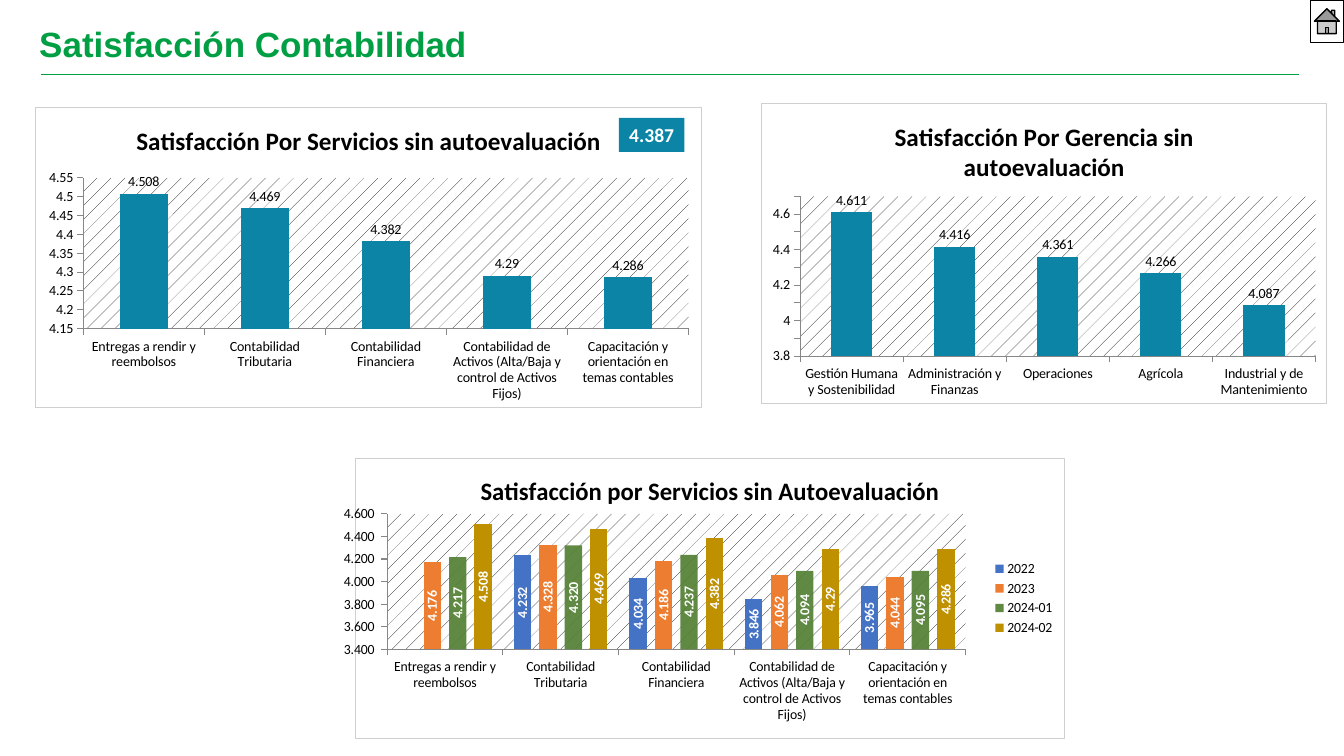
from lxml.etree import SubElement
from pptx import Presentation
from pptx.chart.data import CategoryChartData
from pptx.dml.color import RGBColor
from pptx.enum.chart import XL_CHART_TYPE as CT, XL_LABEL_POSITION as LP
from pptx.enum.chart import XL_LEGEND_POSITION as LEG, XL_TICK_MARK as TICK
from pptx.enum.shapes import MSO_CONNECTOR, MSO_SHAPE
from pptx.enum.text import MSO_ANCHOR, MSO_AUTO_SIZE, PP_ALIGN
from pptx.oxml import parse_xml
from pptx.oxml.ns import nsdecls, qn
from pptx.util import Cm, Pt

GREEN, TEAL, BLACK, WHITE, GREY = "009F43", "0B84A5", "000000", "FFFFFF", "878787"
ACCOUNTING = '_-* #,##0.000_-;\\-* #,##0.000_-;_-* "-"?'
SERVICES = [
    "Entregas a rendir y reembolsos",
    "Contabilidad Tributaria",
    "Contabilidad Financiera",
    "Contabilidad de Activos (Alta/Baja y control de Activos Fijos)",
    "Capacitación y orientación en temas contables",
]
MANAGEMENTS = [
    "Gestión Humana y Sostenibilidad",
    "Administración y Finanzas",
    "Operaciones",
    "Agrícola",
    "Industrial y de Mantenimiento",
]
LATEST = [4.508, 4.469, 4.382, 4.29, 4.286]
BY_MANAGEMENT = [4.611, 4.416, 4.361, 4.266, 4.087]
PERIODS = [
    ("2022", [None, 4.232, 4.034, 3.846, 3.965], "4472C4", ACCOUNTING),
    ("2023", [4.176, 4.328, 4.186, 4.062, 4.044], "ED7D31", "0.000"),
    ("2024-01", [4.217, 4.32, 4.237, 4.094, 4.095], "548235", "0.000"),
    ("2024-02", LATEST, "BF9000", "General"),
]


def rgb(color):
    return RGBColor.from_string(color)


def set_font(font, size, color, bold=False, name="Calibri"):
    font.name, font.size, font.bold = name, Pt(size), bold
    font.color.rgb = rgb(color)


def add_run(p, text, *style):
    r = p.add_run()
    r.text = text
    set_font(r.font, *style)


def add_heading(s, text, *box):
    tf = s.shapes.add_textbox(*map(Cm, box)).text_frame
    tf.word_wrap = True
    tf.vertical_anchor = MSO_ANCHOR.MIDDLE
    p = tf.paragraphs[0]
    p.line_spacing = 0.9
    add_run(p, text, 25, GREEN, True, "Arial")


def add_rule(s, *ends):
    line = s.shapes.add_connector(MSO_CONNECTOR.STRAIGHT, *map(Cm, ends))
    line.line.color.rgb = rgb(GREEN)
    line.line.width = Pt(0.5)
    SubElement(line._element.spPr, qn("a:effectLst"))


def add_filled(s, kind, color, *box):
    sp = s.shapes.add_shape(kind, *map(Cm, box))
    sp.shadow.inherit = False
    sp.fill.solid()
    sp.fill.fore_color.rgb = rgb(color)
    return sp


def add_home_button(s, *box):
    sp = add_filled(s, MSO_SHAPE.ACTION_BUTTON_HOME, WHITE, *box)
    sp.line.color.rgb = rgb(BLACK)
    sp.line.width = Pt(1)


def add_badge(s, text, *box):
    sp = add_filled(s, MSO_SHAPE.RECTANGLE, TEAL, *box)
    sp.line.fill.background()
    tf = sp.text_frame
    tf.word_wrap = False
    tf.auto_size = MSO_AUTO_SIZE.SHAPE_TO_FIT_TEXT
    p = tf.paragraphs[0]
    p.alignment = PP_ALIGN.CENTER
    add_run(p, text, 14, WHITE, True)


def style_areas(chart):
    space = chart._chartSpace
    plot_area = space.find(".//" + qn("c:plotArea"))
    plot_area.append(parse_xml(
        f'<c:spPr {nsdecls("c", "a")}><a:pattFill prst="pct5">'
        f'<a:fgClr><a:srgbClr val="{BLACK}"/></a:fgClr>'
        f'<a:bgClr><a:srgbClr val="{WHITE}"/></a:bgClr></a:pattFill></c:spPr>'))
    space.find(qn("c:chart")).addnext(parse_xml(
        f'<c:spPr {nsdecls("c", "a")}>'
        f'<a:solidFill><a:srgbClr val="{WHITE}"/></a:solidFill>'
        '<a:ln w="9525"><a:solidFill><a:srgbClr val="D0CECE"/></a:solidFill></a:ln>'
        '</c:spPr>'))


def style_axes(chart, low, high, step, fmt):
    for axis in (chart.category_axis, chart.value_axis):
        axis.has_major_gridlines = False
        axis.major_tick_mark = TICK.OUTSIDE
        axis.minor_tick_mark = TICK.NONE
        axis.format.line.color.rgb = rgb(GREY)
    axis = chart.value_axis
    axis.minimum_scale, axis.maximum_scale, axis.major_unit = low, high, step
    axis.tick_labels.number_format = fmt
    axis.tick_labels.number_format_is_linked = False


def add_columns(s, title, cats, series, scale, box, fmt="General"):
    data = CategoryChartData()
    data.categories = cats
    for name, values, *_ in series:
        data.add_series(name, values)
    chart = s.shapes.add_chart(CT.COLUMN_CLUSTERED, *map(Cm, box), data).chart
    set_font(chart.font, 10, BLACK)
    chart.has_legend = False
    chart.has_title = True
    add_run(chart.chart_title.text_frame.paragraphs[0], title, 18, BLACK, True)
    chart.chart_title.include_in_layout = False
    style_axes(chart, *scale, fmt)
    style_areas(chart)
    plot = chart.plots[0]
    plot.vary_by_categories = False
    plot.gap_width = 150
    for ser, (_, _, color, label_fmt) in zip(plot.series, series):
        ser.format.fill.solid()
        ser.format.fill.fore_color.rgb = rgb(color)
        labels = ser.data_labels
        labels.show_value = True
        labels.number_format = label_fmt
        labels.number_format_is_linked = False
        labels.position = LP.OUTSIDE_END
        set_font(labels.font, 10, BLACK)
    return chart


def style_comparison(chart):
    plot = chart.plots[0]
    plot.gap_width, plot.overlap = 127, -47
    for ser in plot.series:
        labels = ser.data_labels
        labels.position = LP.CENTER
        set_font(labels.font, 10, WHITE, True)
        body = labels._element.find(".//" + qn("a:bodyPr"))
        body.set("rot", "-5400000")
        body.set("vert", "horz")
    green = plot.series[2].format.fill._xPr.find(".//" + qn("a:srgbClr"))
    SubElement(green, qn("a:alpha")).set("val", "93000")
    chart.has_legend = True
    chart.legend.position = LEG.RIGHT
    chart.legend.include_in_layout = False
    plot_area = chart._chartSpace.find(".//" + qn("c:plotArea"))
    for old in plot_area.findall(qn("c:layout")):
        plot_area.remove(old)
    layout = parse_xml(f'<c:layout {nsdecls("c")}><c:manualLayout/></c:layout>')
    for tag, val in (("layoutTarget", "inner"), ("xMode", "edge"), ("yMode", "edge"),
                     ("x", "0.045"), ("y", "0.199"), ("w", "0.815"), ("h", "0.484")):
        SubElement(layout[0], qn("c:" + tag)).set("val", val)
    plot_area.insert(0, layout)


def main():
    prs = Presentation()
    prs.slide_width, prs.slide_height = Cm(33.87), Cm(19.05)
    s = prs.slides.add_slide(prs.slide_layouts[6])
    add_rule(s, 1.04, 1.88, 32.74, 1.88)
    add_heading(s, "Satisfacción Contabilidad", 0.74, 0.61, 29.44, 1.12)
    add_home_button(s, 33.02, 0, 0.84, 1.07)
    add_columns(s, "Satisfacción Por Servicios sin autoevaluación", SERVICES,
                [("Series 1", LATEST, TEAL, "General")],
                (4.15, 4.55, 0.05), (0.89, 2.69, 16.81, 7.59))
    add_columns(s, "Satisfacción Por Gerencia sin autoevaluación", MANAGEMENTS,
                [("Series 1", BY_MANAGEMENT, TEAL, "General")],
                (3.8, 4.7, 0.1), (19.18, 2.59, 14.27, 7.59))
    style_comparison(add_columns(
        s, "Satisfacción por Servicios sin Autoevaluación", SERVICES, PERIODS,
        (3.4, 4.6, 0.2), (8.59, 11.53, 18.26, 7.09), ACCOUNTING))
    add_badge(s, "4.387", 15.6, 2.97, 1.65, 0.86)
    prs.save("out.pptx")


if __name__ == "__main__":
    main()
